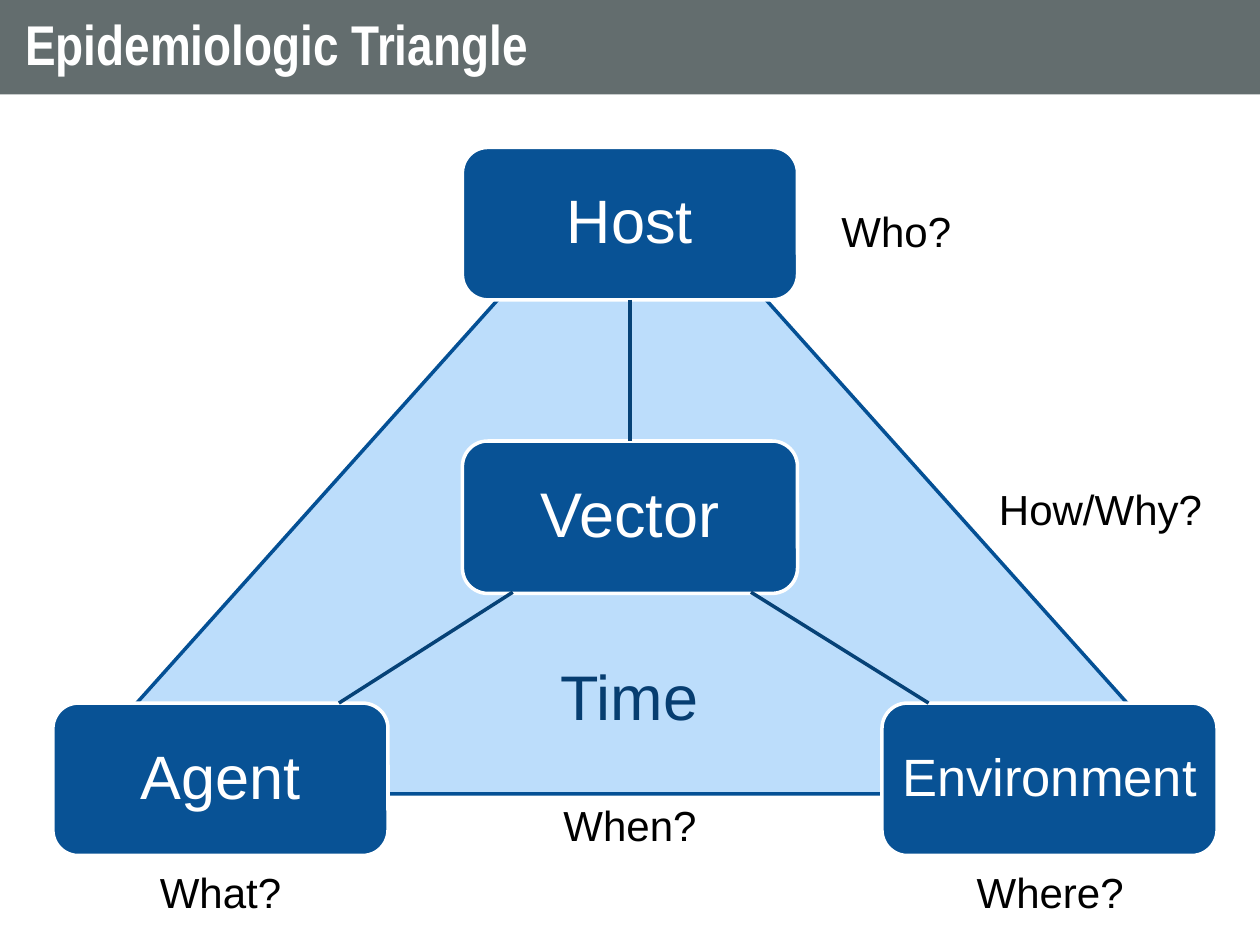
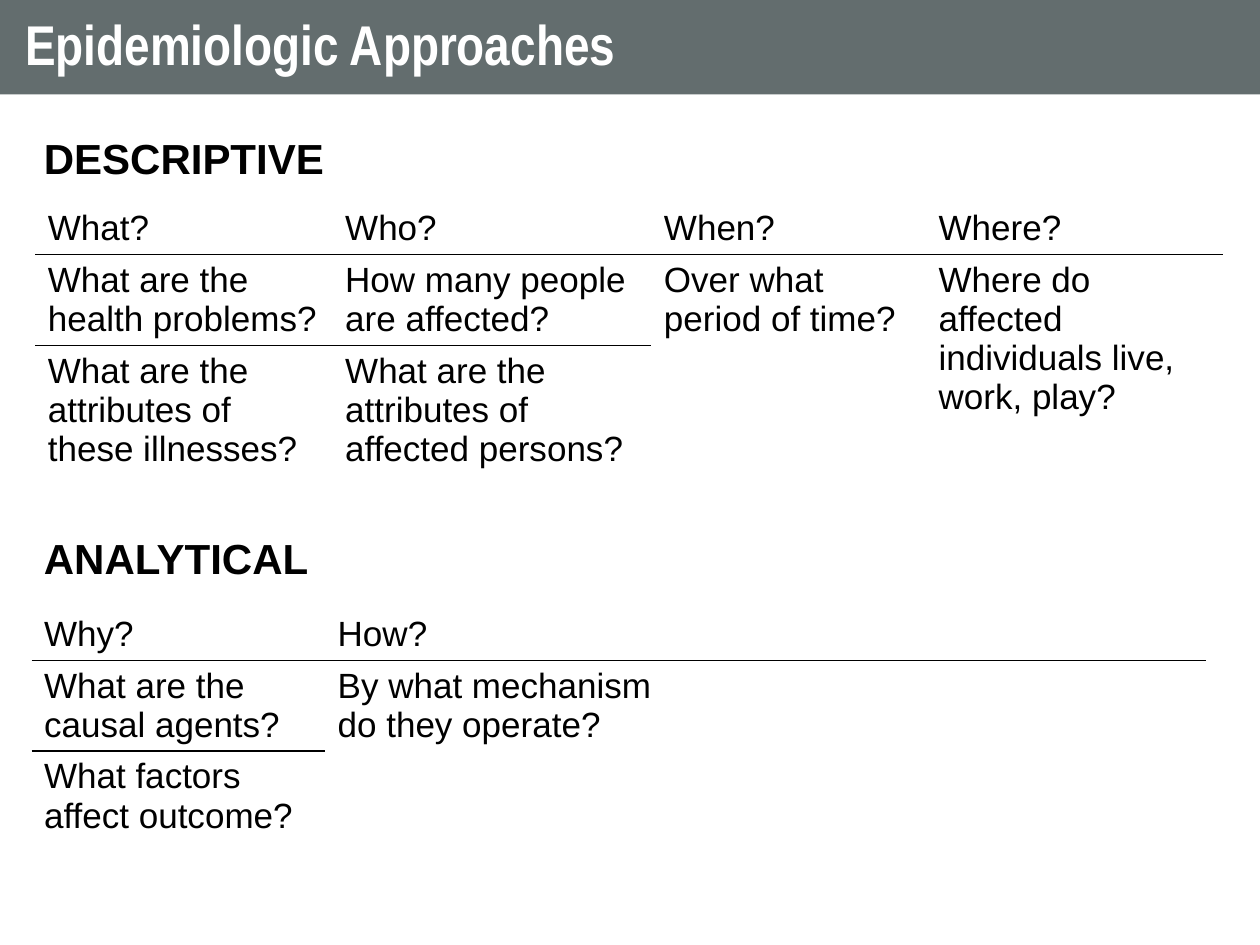
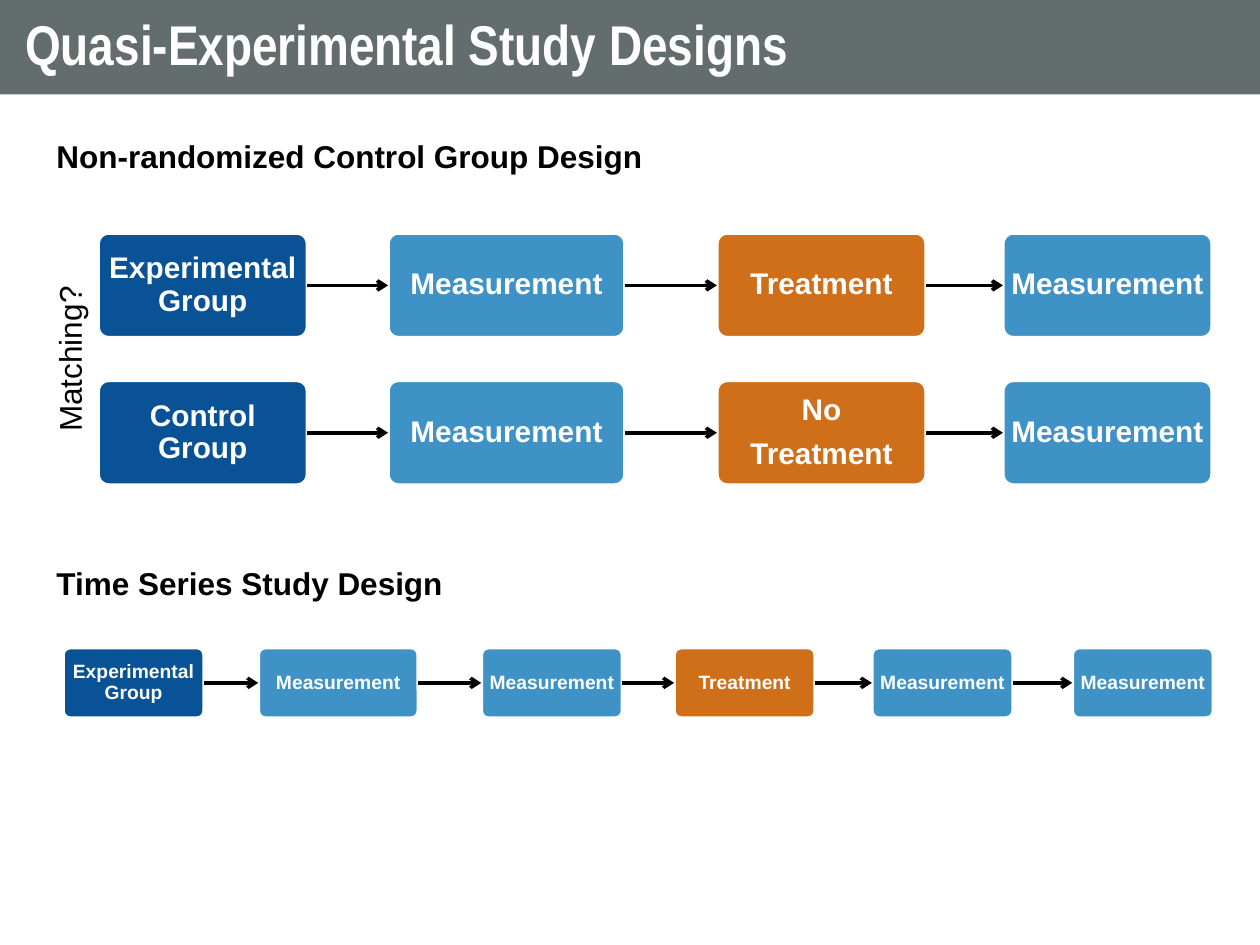
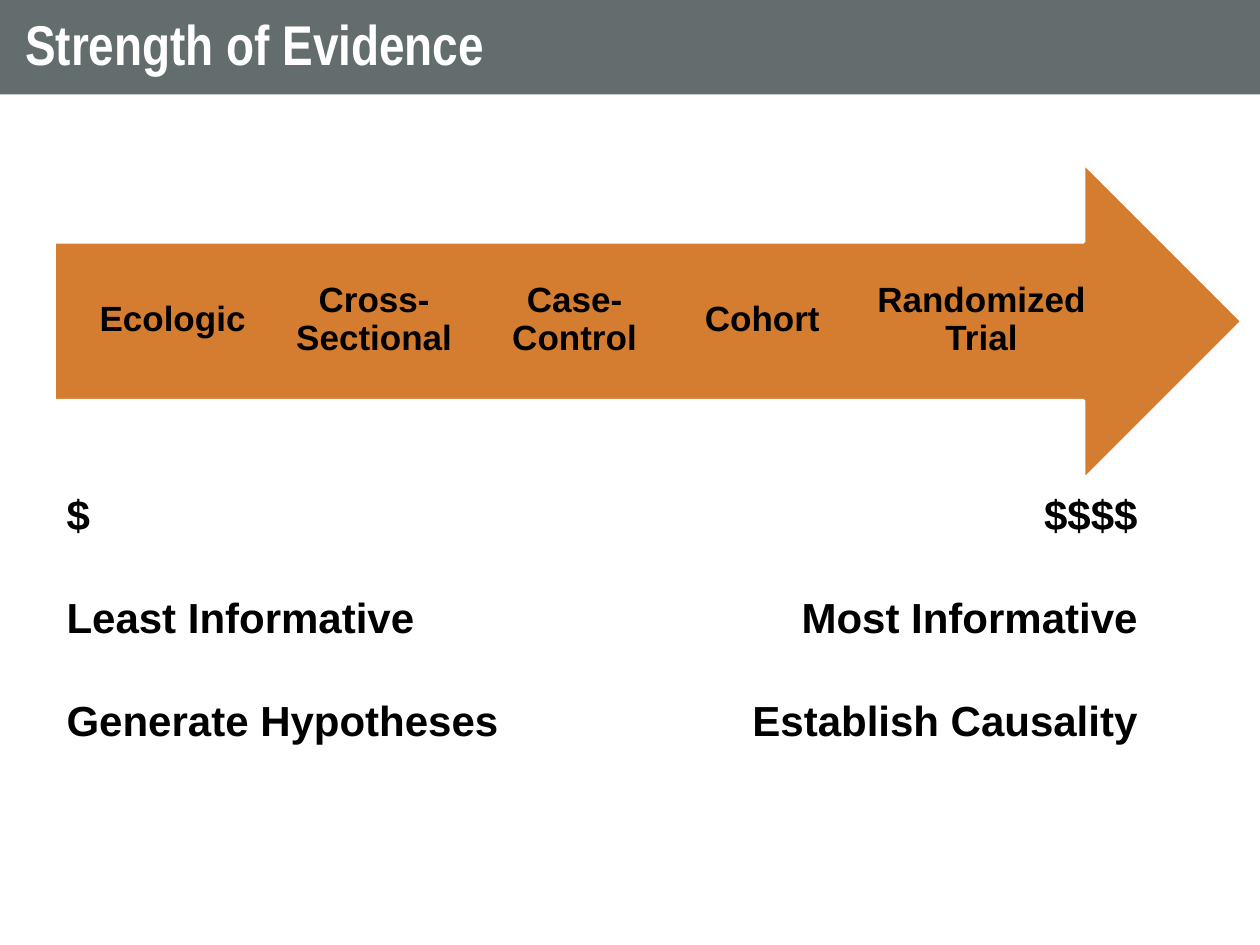
from typing import NamedTuple

from lxml.etree import SubElement
from pptx import Presentation
from pptx.dml.color import RGBColor
from pptx.enum.shapes import MSO_CONNECTOR as Connector, MSO_SHAPE as Preset
from pptx.enum.text import MSO_ANCHOR as Anchor, MSO_AUTO_SIZE as AutoSize, PP_ALIGN as Align
from pptx.oxml.ns import qn
from pptx.util import Inches, Pt

# Shared colours and styles
WHITE, BLACK, BAND = "FFFFFF", "000000", "636D6E"
DARK_BLUE, LIGHT_BLUE, ORANGE = "085295", "3E92C6", "D06F1A"
PALE_BLUE, EDGE_BLUE, SPOKE_BLUE, TIME_BLUE = "BCDDFB", "045095", "064277", "063D70"
STEP_COLORS = {"Group": DARK_BLUE, "Measurement": LIGHT_BLUE, "Treatment": ORANGE}
NO_GRID_STYLE = "{2D5ABB26-0587-4C30-8999-92F81FD0307C}"


class Box(NamedTuple):
    """A region of the slide, in inches."""
    left: float
    top: float
    width: float
    height: float

    def inner(self, x, y, width, height):
        return Box(self.left + x, self.top + y, width, height)

    def lengths(self):
        return [Inches(round(value, 2)) for value in self]


# Helpers
def rgb(hex_color):
    return RGBColor.from_string(hex_color)


def write(frame, text, size=24, color=BLACK, bold=False, font="Arial", align=Align.LEFT,
          anchor=Anchor.TOP, inset_x=0.1, inset_y=0.05, line_spacing=1, gap=0, tab=None):
    """Fill a text frame with one paragraph per line, gap points apart."""
    frame.word_wrap = True
    frame.auto_size = AutoSize.NONE
    frame.vertical_anchor = anchor
    frame.margin_left = frame.margin_right = Inches(inset_x)
    frame.margin_top = frame.margin_bottom = Inches(inset_y)
    for index, line in enumerate(text.split("\n")):
        paragraph = frame.add_paragraph() if index else frame.paragraphs[0]
        paragraph.alignment = align
        paragraph.line_spacing = line_spacing
        if index:
            paragraph.space_before = Pt(gap)
        if tab:
            tabs = SubElement(paragraph._p.get_or_add_pPr(), qn("a:tabLst"))
            SubElement(tabs, qn("a:tab"), pos=str(Inches(tab)), algn="r")
        run = paragraph.add_run()
        run.text = line
        run.font.size = Pt(size)
        run.font.bold = bold
        run.font.name = font
        run.font.color.rgb = rgb(color)


def add_label(slide, box, text, **style):
    label = slide.shapes.add_textbox(*box.lengths())
    write(label.text_frame, text, **style)
    return label


def add_block(slide, preset, box, fill, line=WHITE):
    shape = slide.shapes.add_shape(preset, *box.lengths())
    shape.shadow.inherit = False
    shape.fill.solid()
    shape.fill.fore_color.rgb = rgb(fill)
    shape.line.color.rgb = rgb(line)
    shape.line.width = Pt(2)
    return shape


def add_node(slide, box, text, fill=DARK_BLUE, **style):
    node = add_block(slide, Preset.ROUNDED_RECTANGLE, box, fill)
    write(node.text_frame, text, color=WHITE, align=Align.CENTER, anchor=Anchor.MIDDLE,
          line_spacing=0.9, **style)
    return node


def add_line(slide, color, start=(0, 0), end=(0, 0), arrow=False):
    ends = [Inches(round(value, 2)) for value in (*start, *end)]
    line = slide.shapes.add_connector(Connector.STRAIGHT, *ends)
    line.line.color.rgb = rgb(color)
    line.line.width = Pt(2)
    if arrow:
        SubElement(line.line._get_or_add_ln(), qn("a:tailEnd"), type="arrow")
    SubElement(line._element.spPr, qn("a:effectLst"))
    return line


def join(line, first, first_side, second, second_side):
    line.begin_connect(first, first_side)
    line.end_connect(second, second_side)


def add_titled_slide(presentation, text):
    slide = presentation.slides.add_slide(presentation.slide_layouts[5])
    title = slide.shapes.title
    title.left, title.top, title.width, title.height = Box(0, 0, 10, 0.75).lengths()
    title.fill.solid()
    title.fill.fore_color.rgb = rgb(BAND)
    write(title.text_frame, text, size=32, color=WHITE, bold=True, font="Arial Narrow",
          anchor=Anchor.MIDDLE, inset_x=0.2, inset_y=0.1, line_spacing=0.9)
    return slide


# Epidemiologic triangle
def draw_triangle(slide, box):
    add_block(slide, Preset.ISOSCELES_TRIANGLE, box.inner(0.02, 0.02, 9.15, 5.11),
              PALE_BLUE, EDGE_BLUE)

    def corner(x, y, text, size=35):
        return add_node(slide, box.inner(x, y, 2.66, 1.21), text, size=size,
                        inset_x=0.08, inset_y=0.08)

    vector = corner(3.25, 2.33, "Vector", 36)
    host = corner(3.25, 0, "Host")
    corner(6.58, 4.41, "Environment", 30)
    corner(0, 4.41, "Agent")

    # Spokes from the vector to the three corners
    join(add_line(slide, SPOKE_BLUE), host, 2, vector, 0)
    for start_x, end_x in [(3.65, 2.27), (5.54, 6.95)]:
        add_line(slide, SPOKE_BLUE, (box.left + start_x, box.top + 3.53),
                 (box.left + end_x, box.top + 4.41))

    # Questions around the triangle
    for x, y, width, text, align in [
        (6.16, 0.41, 1.42, "Who?", Align.LEFT),
        (7.41, 2.62, 1.83, "How/Why?", Align.LEFT),
        (6.58, 5.66, 2.67, "Where?", Align.CENTER),
        (0.08, 5.66, 2.5, "What?", Align.CENTER),
        (3.87, 5.13, 1.42, "When?", Align.CENTER),
    ]:
        add_label(slide, box.inner(x, y, width, 0.5), text, align=align)
    add_label(slide, box.inner(3.66, 4, 1.83, 0.71), "Time", size=36, color=TIME_BLUE,
              align=Align.CENTER)


# Question tables
def add_rule(cell, side):
    line = SubElement(cell._tc.get_or_add_tcPr(), qn(side), w=str(Pt(1)))
    fill = SubElement(line, qn("a:solidFill"))
    SubElement(fill, qn("a:srgbClr"), val=BLACK)


def add_question_table(slide, box, rows, widths, heights, merged_from):
    """Columns from merged_from on join their last two rows."""
    table = slide.shapes.add_table(len(rows), len(widths), *box.lengths()).table
    table.first_row = table.horz_banding = False
    table._tbl.tblPr.find(qn("a:tableStyleId")).text = NO_GRID_STYLE
    for column, width in zip(table.columns, widths):
        column.width = Inches(width)
    for row, height in zip(table.rows, heights):
        row.height = Inches(height)
    for column in range(merged_from, len(widths)):
        table.cell(1, column).merge(table.cell(2, column))
    for row, ruled_columns in enumerate([len(widths), merged_from]):
        for column in range(ruled_columns):
            add_rule(table.cell(row, column), "a:lnB")
            add_rule(table.cell(row + 1, column), "a:lnT")
    for cell in table.iter_cells():
        cell.fill.background()
    for row, texts in enumerate(rows):
        for column, text in enumerate(texts):
            cell = table.cell(row, column)
            write(cell.text_frame, text, size=20)


def draw_approaches(slide, box):
    add_label(slide, box, "DESCRIPTIVE\nANALYTICAL", bold=True, gap=200)
    add_question_table(
        slide, box.inner(0.03, 0.61, 9.43, 2.3),
        [["What?", "Who?", "When?", "Where?"],
         ["What are the health problems?", "How many people are affected?",
          "Over what period of time?", "Where do affected individuals live, work, play?"],
         ["What are the attributes of these illnesses?",
          "What are the attributes of affected persons?"]],
        widths=[2.36, 2.53, 2.18, 2.36], heights=[0.41, 0.72, 1.17], merged_from=2)
    add_question_table(
        slide, box.inner(0, 3.83, 9.31, 1.97),
        [["Why?", "How?"],
         ["What are the causal agents?", "By what mechanism do they operate?"],
         ["What factors affect outcome?"]],
        widths=[2.33, 2.87, 1.79, 2.33], heights=[0.41, 0.72, 0.84], merged_from=1)


# Study designs
def draw_flow(slide, box, lefts, steps, size):
    """A row of steps joined by arrows; the second step is wider."""
    previous = None
    for index, (left, text) in enumerate(zip(lefts, steps)):
        width = box.height * (2.27 if index == 1 else 2)
        step = add_node(slide, box.inner(left, 0, width, box.height), text,
                        fill=STEP_COLORS[text.split()[-1]], size=size, bold=True,
                        inset_x=0.02, inset_y=0.02, gap=7)
        step.adjustments[0] = 0.1
        if previous is not None:
            join(add_line(slide, BLACK, arrow=True), previous, 3, step, 1)
        previous = step


def draw_control_design(slide, box):
    add_label(slide, box.inner(0, 0, 5.06, 0.4), "Non-randomized Control Group Design",
              size=18, bold=True)
    rows = [["Experimental Group", "Measurement", "Treatment", "Measurement"],
            ["Control Group", "Measurement", "No\nTreatment", "Measurement"]]
    for index, steps in enumerate(rows):
        draw_flow(slide, box.inner(0, 0.81 + 1.17 * index, box.width, 0.83),
                  [0.43, 2.73, 5.34, 7.61], steps, 17)
    matching = add_label(slide, box.inner(-0.75, 1.6, 1.92, 0.42), "Matching?", size=18,
                         align=Align.CENTER)
    matching.rotation = 270


def draw_time_series(slide, box):
    add_label(slide, box.inner(0, 0, 4.33, 0.4), "Time Series Study Design",
              size=18, bold=True)
    draw_flow(slide, box.inner(0, 0.71, box.width, 0.56),
              [0.15, 1.7, 3.47, 5, 6.57, 8.16],
              ["Experimental Group", "Measurement", "Measurement", "Treatment",
               "Measurement", "Measurement"], 11)


# Strength of evidence
def draw_evidence_arrow(slide, box):
    arrow = add_block(slide, Preset.RIGHT_ARROW, box, ORANGE)
    color = arrow._element.spPr.find(qn("a:solidFill")).find(qn("a:srgbClr"))
    SubElement(color, qn("a:alpha"), val="90000")
    for x, width, text in [(0.28, 1.32, "Ecologic"), (1.88, 1.32, "Cross-Sectional"),
                           (3.47, 1.32, "Case-Control"), (4.96, 1.32, "Cohort"),
                           (6.52, 1.68, "Randomized Trial")]:
        add_label(slide, box.inner(x, 0.62, width, 1.26), text, size=20, bold=True,
                  align=Align.CENTER, anchor=Anchor.MIDDLE, inset_x=0, inset_y=0.22,
                  line_spacing=0.9)


def draw_contrasts(slide, box):
    pairs = [("$", "$$$$"), ("Least Informative", "Most Informative"),
             ("Generate Hypotheses", "Establish Causality")]
    add_label(slide, box, "\n".join("\t".join(pair) for pair in pairs), bold=True,
              gap=30, tab=8.5)


def main():
    presentation = Presentation()
    presentation.slide_width, presentation.slide_height = Inches(10), Inches(7.5)

    slide = add_titled_slide(presentation, "Epidemiologic Triangle")
    draw_triangle(slide, Box(0.42, 1.17, 9.25, 6.16))

    slide = add_titled_slide(presentation, "Epidemiologic Approaches")
    draw_approaches(slide, Box(0.25, 1, 9.75, 5.54))

    slide = add_titled_slide(presentation, "Quasi-Experimental Study Designs")
    draw_control_design(slide, Box(0.35, 1.04, 9.28, 2.81))
    draw_time_series(slide, Box(0.35, 4.43, 9.28, 1.28))

    slide = add_titled_slide(presentation, "Strength of Evidence")
    draw_evidence_arrow(slide, Box(0.43, 1.29, 9.43, 2.52))
    draw_contrasts(slide, Box(0.43, 3.83, 8.75, 2.12))

    presentation.save("out.pptx")


if __name__ == "__main__":
    main()
